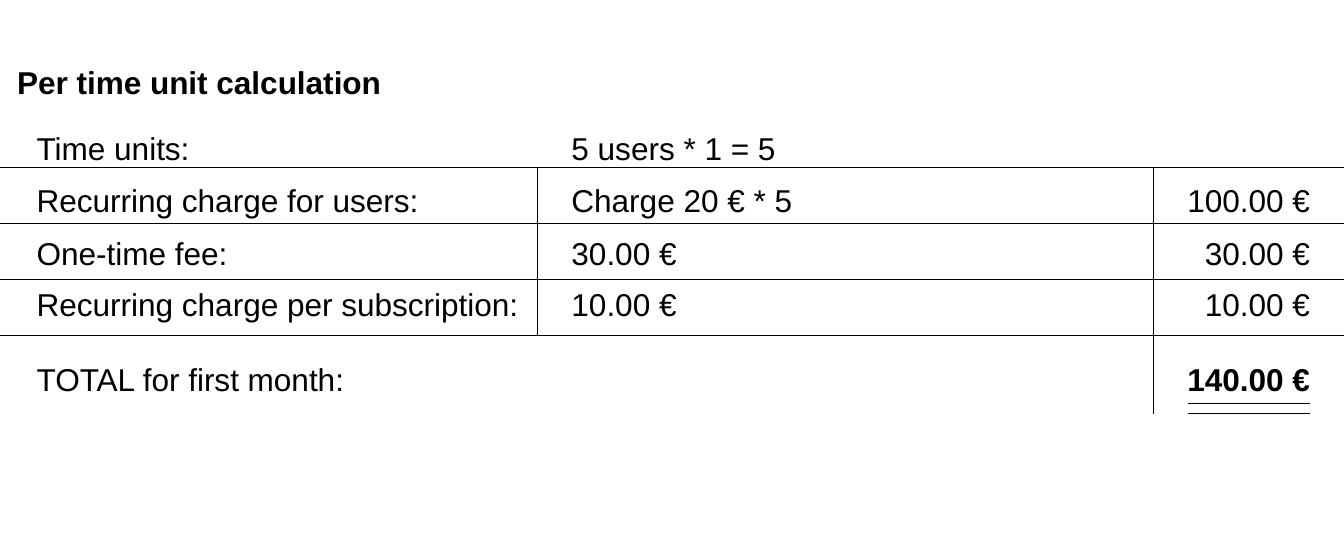
from dataclasses import dataclass

from lxml import etree
from pptx import Presentation
from pptx.dml.color import RGBColor
from pptx.enum.shapes import MSO_CONNECTOR
from pptx.enum.text import MSO_ANCHOR, MSO_AUTO_SIZE, PP_ALIGN
from pptx.oxml.ns import qn
from pptx.util import Inches, Pt


@dataclass(frozen=True)
class Theme:
    font: str = "Arial"
    size: Pt = Pt(16)
    ink: RGBColor = RGBColor(0, 0, 0)
    rule: Pt = Pt(0.75)


theme = Theme()
WIDTH, HEIGHT = 9.45, 3.94


def write(shape, text, align=PP_ALIGN.LEFT, bold=False):
    tf = shape.text_frame
    tf.word_wrap = True
    tf.auto_size = MSO_AUTO_SIZE.NONE
    tf.vertical_anchor = MSO_ANCHOR.BOTTOM
    p = tf.paragraphs[0]
    p.alignment = align
    r = p.add_run()
    r.text = text
    r.font.name = theme.font
    r.font.size = theme.size
    r.font.bold = bold
    r.font.color.rgb = theme.ink


def draw_rule(x1, y1, x2, y2):
    line = s.shapes.add_connector(
        MSO_CONNECTOR.STRAIGHT, Inches(x1), Inches(y1), Inches(x2), Inches(y2))
    line.line.color.rgb = theme.ink
    line.line.width = theme.rule
    etree.SubElement(line._element.spPr, qn("a:effectLst"))


prs = Presentation()
prs.slide_width, prs.slide_height = Inches(WIDTH), Inches(HEIGHT)
s = prs.slides.add_slide(prs.slide_layouts[5])

title = s.shapes.title
title.left, title.top = Inches(0.02), Inches(0.31)
title.width, title.height = Inches(3.76), Inches(0.45)
write(title, "Per time unit calculation", bold=True)

# Columns: left, width, alignment
columns = [
    (0.16, 3.76, PP_ALIGN.LEFT),
    (3.92, 3.96, PP_ALIGN.LEFT),
    (7.88, 1.43, PP_ALIGN.RIGHT),
]
# Rows: top, height, label, calculation, amount
rows = [
    (0.77, 0.45, "Time units:", "5 users * 1 = 5", ""),
    (1.22, 0.37, "Recurring charge for users:", "Charge 20 € * 5", "100.00 €"),
    (1.59, 0.37, "One-time fee:", "30.00 €", "30.00 €"),
    (1.95, 0.37, "Recurring charge per subscription:", "10.00 €", "10.00 €"),
    (2.40, 0.45, "TOTAL for first month:", "", "140.00 €"),
]
total = rows[-1][-1]
for top, height, *texts in rows:
    for (left, width, align), text in zip(columns, texts):
        if text:
            box = s.shapes.add_textbox(
                Inches(left), Inches(top), Inches(width), Inches(height))
            write(box, text, align, bold=text == total)

# Row rules, column rules and the double underline of the total
first_rule, last_rule, underline = 1.18, 2.36, 2.91
for i in range(4):
    y = first_rule + i * (last_rule - first_rule) / 3
    draw_rule(0, y, WIDTH, y)
for x, bottom in [(3.78, last_rule), (8.11, underline)]:
    draw_rule(x, first_rule, x, bottom)
for y in (2.84, underline):
    draw_rule(8.35, y, 9.21, y)

prs.save("out.pptx")
